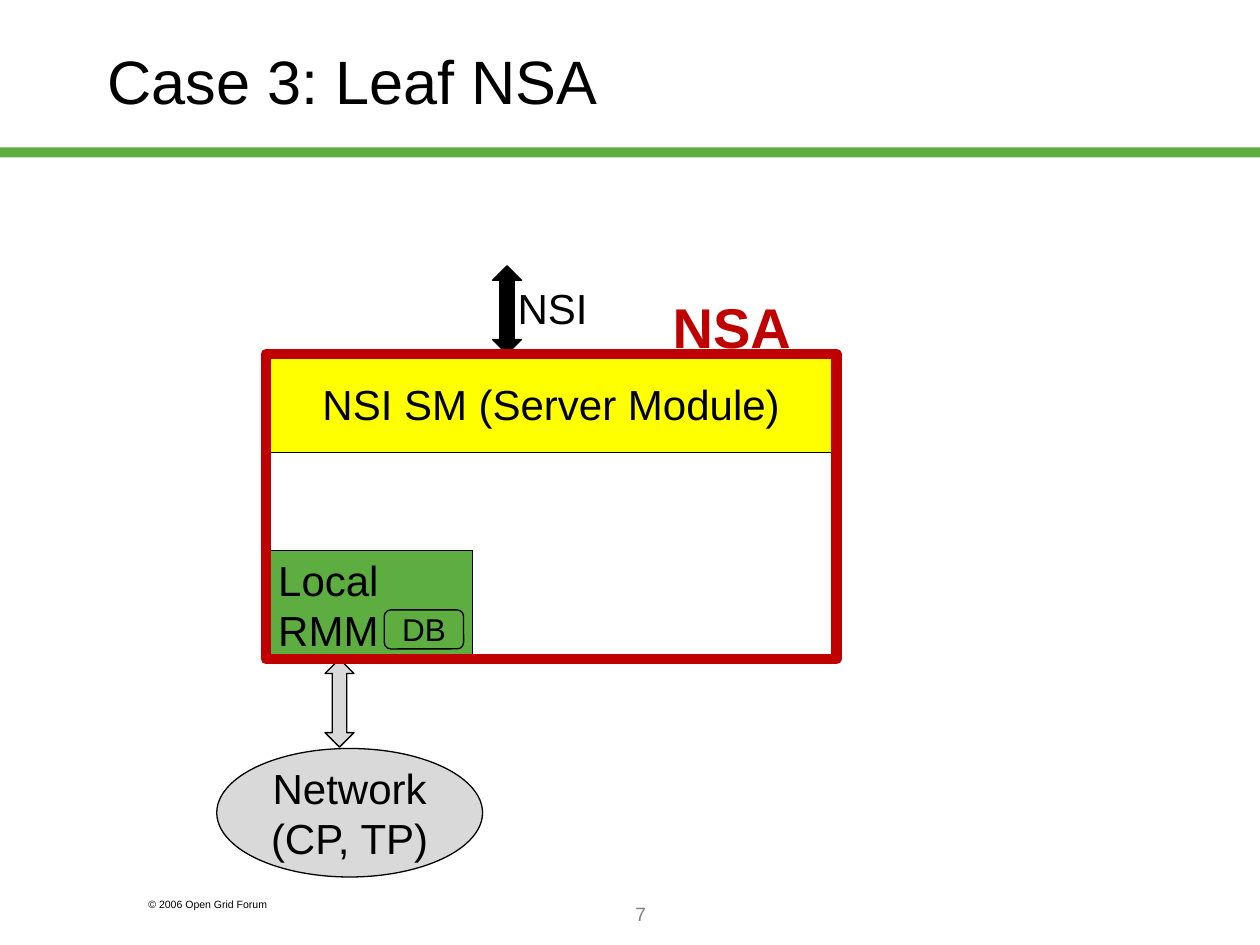
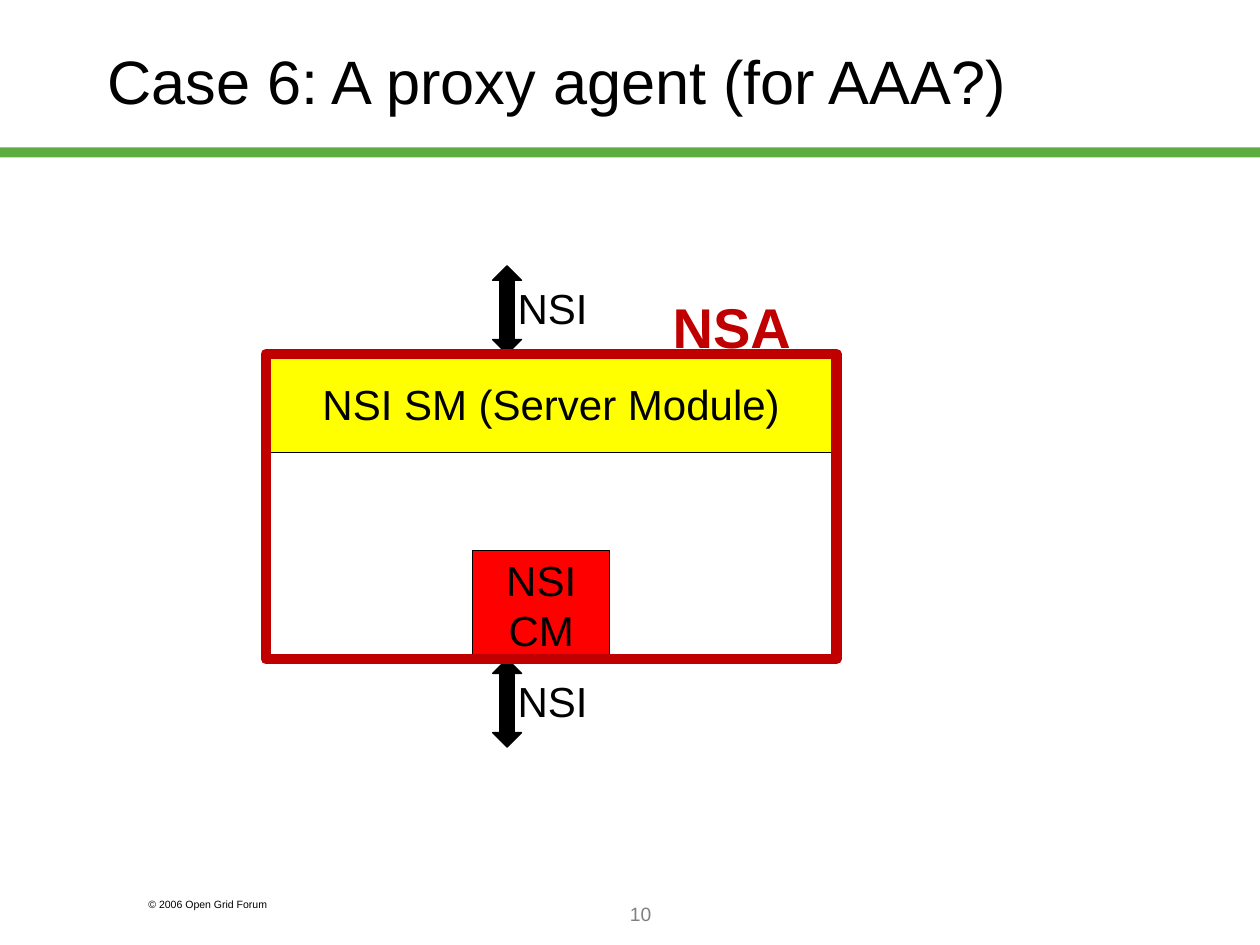
"""Build two slides on the inner structure of a network service agent (NSA)."""
from pptx import Presentation
from pptx.dml.color import RGBColor
from pptx.enum.shapes import MSO_SHAPE as Shape
from pptx.enum.text import MSO_ANCHOR as Anchor, MSO_AUTO_SIZE as AutoSize, PP_ALIGN as Align
from pptx.util import Inches, Pt

FONT = "Arial"
BLACK, GREY, LIGHT_GREY = "000000", "808080", "D9D9D9"
GREEN, YELLOW, RED, DARK_RED = "5DAD41", "FFFF00", "FF0000", "C00000"

COPYRIGHT = "© 2006 Open Grid Forum"
SERVER_MODULE = "NSI SM (Server Module)"

AGENT_LEFT, AGENT_TOP, AGENT_WIDTH, AGENT_HEIGHT = 2.11, 2.81, 4.53, 2.42
AGENT_BOTTOM = AGENT_TOP + AGENT_HEIGHT
SERVER_HEIGHT, MODULE_HEIGHT = 0.78, 0.86
MODULE_TOP = AGENT_BOTTOM - MODULE_HEIGHT
LOCAL_WIDTH, CLIENT_WIDTH = 1.64, 1.09
ARROW_WIDTH, ARROW_HEIGHT = 0.23, 0.7
NSI_LEFT, NETWORK_ARROW_LEFT = 3.91, 2.58

CASES = [
    {
        "title": "Case 3: Leaf NSA",
        "number": "7",
        "module": ("Local\nRMM", AGENT_LEFT, LOCAL_WIDTH, GREEN, Align.LEFT),
        "network": "Network\n(CP, TP)",
        "database": "DB",
    },
    {
        "title": "Case 6: A proxy agent (for AAA?)",
        "number": "10",
        "module": ("NSI\nCM", AGENT_LEFT + LOCAL_WIDTH, CLIENT_WIDTH, RED, Align.CENTER),
        "lower_nsi": True,
    },
]


def rgb(value):
    return RGBColor.from_string(value)


def write(frame, text, size, color=BLACK, align=Align.LEFT, bold=False):
    frame.text = text
    for paragraph in frame.paragraphs:
        paragraph.alignment = align
        font = paragraph.font
        font.name, font.size, font.bold = FONT, Pt(size), bold
        font.color.rgb = rgb(color)


def add_label(slide, box, text, size, color=BLACK, align=Align.LEFT,
              bold=False, wrap=False, anchor=Anchor.TOP):
    frame = slide.shapes.add_textbox(*map(Inches, box)).text_frame
    frame.word_wrap, frame.vertical_anchor = wrap, anchor
    frame.auto_size = AutoSize.NONE if wrap else AutoSize.SHAPE_TO_FIT_TEXT
    write(frame, text, size, color, align, bold)


def add_block(slide, kind, box, fill=None, text="", size=24,
              align=Align.CENTER, line=BLACK, weight=0.75):
    block = slide.shapes.add_shape(kind, *map(Inches, box))
    block.shadow.inherit = False
    if fill:
        block.fill.solid()
        block.fill.fore_color.rgb = rgb(fill)
    else:
        block.fill.background()
    if line:
        block.line.color.rgb = rgb(line)
        block.line.width = Pt(weight)
    else:
        block.line.fill.background()
    if text:
        block.text_frame.vertical_anchor = Anchor.MIDDLE
        write(block.text_frame, text, size, align=align)


def add_arrow(slide, left, top, fill):
    add_block(slide, Shape.UP_DOWN_ARROW, (left, top, ARROW_WIDTH, ARROW_HEIGHT), fill)


def add_nsi_link(slide, top):
    add_arrow(slide, NSI_LEFT, top, BLACK)
    add_label(slide, (NSI_LEFT + 0.1, top + 0.08, 0.76, 0.5), "NSI", 24)


def add_common(slide, title_text, number):
    add_block(slide, Shape.RECTANGLE, (0, 1.17, 10, 0.08), GREEN, line=None)
    add_label(slide, (1.08, 7.08, 1.5, 0.2), COPYRIGHT, 6, wrap=True)
    title = slide.shapes.title
    title.left, title.top, title.width, title.height = map(Inches, (0.75, 0.17, 8.5, 0.93))
    title.text_frame.auto_size = AutoSize.NONE
    title.text_frame.vertical_anchor = Anchor.MIDDLE
    write(title.text_frame, title_text, 35)
    add_label(slide, (2.17, 7, 5.83, 0.5), number, 11, GREY, Align.CENTER,
              wrap=True, anchor=Anchor.MIDDLE)


def add_case(slide, case):
    add_common(slide, case["title"], case["number"])
    module_text, module_left, module_width, module_fill, module_align = case["module"]
    add_block(slide, Shape.RECTANGLE, (module_left, MODULE_TOP, module_width, MODULE_HEIGHT),
              module_fill, module_text, align=module_align)
    add_block(slide, Shape.RECTANGLE, (AGENT_LEFT, AGENT_TOP, AGENT_WIDTH, SERVER_HEIGHT),
              YELLOW, SERVER_MODULE)
    if "network" in case:
        add_block(slide, Shape.OVAL, (1.72, AGENT_BOTTOM + ARROW_HEIGHT + 0.01, 2.11, 1.02),
                  LIGHT_GREY, case["network"])
        add_arrow(slide, NETWORK_ARROW_LEFT, AGENT_BOTTOM, LIGHT_GREY)
    if "lower_nsi" in case:
        add_nsi_link(slide, AGENT_BOTTOM)
    add_nsi_link(slide, AGENT_TOP - ARROW_HEIGHT)
    add_block(slide, Shape.RECTANGLE, (AGENT_LEFT, AGENT_TOP, AGENT_WIDTH, AGENT_HEIGHT),
              line=DARK_RED, weight=6)
    add_label(slide, (5.24, 2.27, 1.14, 0.64), "NSA", 32, DARK_RED, bold=True)
    if "database" in case:
        add_block(slide, Shape.ROUNDED_RECTANGLE, (3.05, 4.84, 0.63, 0.31),
                  GREEN, case["database"], 18)


def main():
    deck = Presentation()
    deck.slide_width, deck.slide_height = Inches(10), Inches(7.5)
    title_only = deck.slide_layouts[5]
    for case in CASES:
        add_case(deck.slides.add_slide(title_only), case)
    deck.save("out.pptx")


if __name__ == "__main__":
    main()
